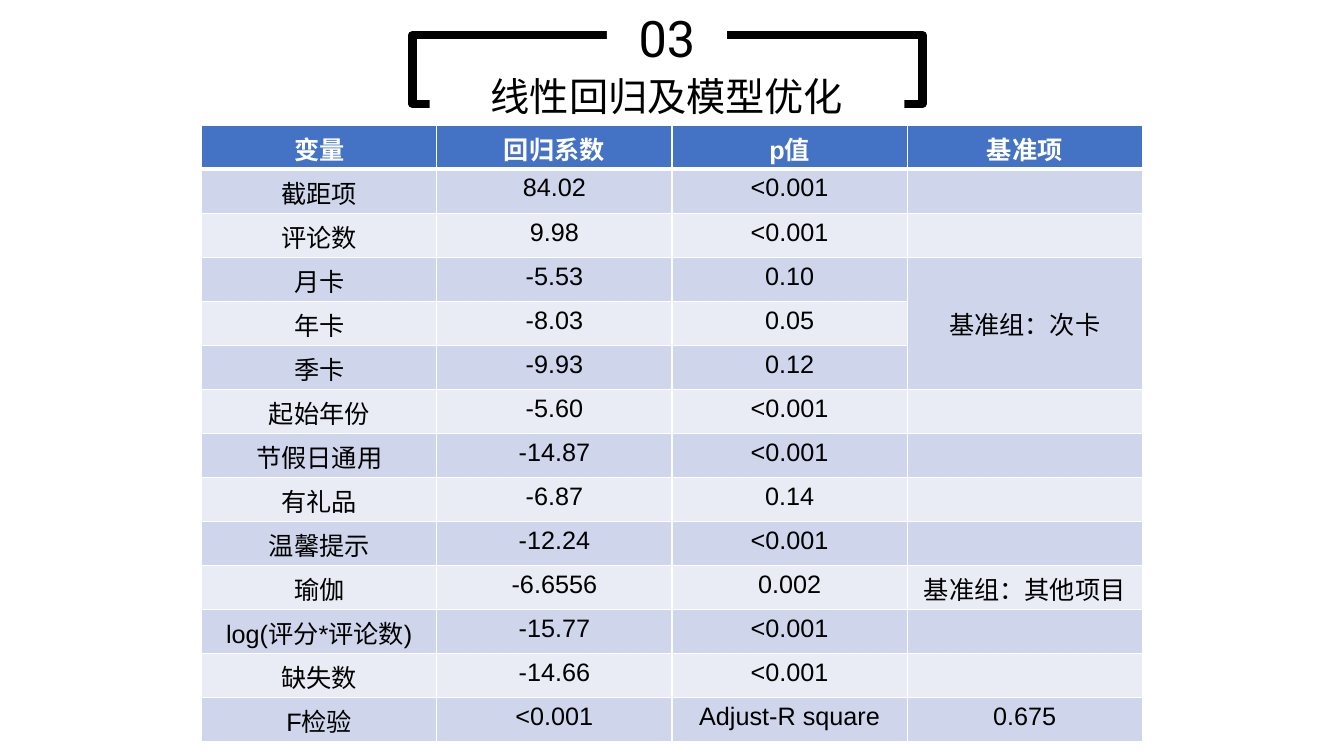
from lxml import etree
from pptx import Presentation
from pptx.dml.color import RGBColor
from pptx.enum import shapes, text
from pptx.oxml import ns
from pptx.util import Inches, Pt

COLORS = {"black": "000000", "white": "FFFFFF", "header": "4472C4",
          "odd": "CFD5EA", "even": "E9EBF5"}
RGB = {name: RGBColor.from_string(value) for name, value in COLORS.items()}

ROWS = [
    ("变量", "回归系数", "p值", "基准项"),
    ("截距项", "84.02", "<0.001", ""),
    ("评论数", "9.98", "<0.001", ""),
    ("月卡", "-5.53", "0.10", "基准组：次卡"),
    ("年卡", "-8.03", "0.05", ""),
    ("季卡", "-9.93", "0.12", ""),
    ("起始年份", "-5.60", "<0.001", ""),
    ("节假日通用", "-14.87", "<0.001", ""),
    ("有礼品", "-6.87", "0.14", ""),
    ("温馨提示", "-12.24", "<0.001", ""),
    ("瑜伽", "-6.6556", "0.002", "基准组：其他项目"),
    ("log(评分*评论数)", "-15.77", "<0.001", ""),
    ("缺失数", "-14.66", "<0.001", ""),
    ("F检验", "<0.001", "Adjust-R square", "0.675"),
]


def write(tf, content, color, **font):
    """Put one centred paragraph in a text frame and format its font."""
    p = tf.paragraphs[0]
    p.alignment = text.PP_ALIGN.CENTER
    r = p.add_run()
    r.text = content
    r.font.color.rgb = RGB[color]
    for name, value in font.items():
        setattr(r.font, name, value)


def add_border(cell, side, points):
    ln = etree.SubElement(cell._tc.get_or_add_tcPr(), ns.qn(f"a:ln{side}"), w=str(Pt(points)))
    fill = etree.SubElement(ln, ns.qn("a:solidFill"))
    etree.SubElement(fill, ns.qn("a:srgbClr"), val=COLORS["white"])


prs = Presentation()
prs.slide_width, prs.slide_height = Inches(13.33), Inches(7.5)
s = prs.slides.add_slide(prs.slide_layouts[5])

# Bracket frame: the white heading boxes cover parts of its outline
frame = s.shapes.add_shape(shapes.MSO_SHAPE.RECTANGLE,
                           Inches(4.09), Inches(0.35), Inches(5.06), Inches(0.68))
frame.shadow.inherit = False
frame.fill.background()
frame.line.color.rgb = RGB["black"]
frame.line.width = Pt(6)

number = s.shapes.add_textbox(Inches(6.02), Inches(0.02), Inches(1.19), Inches(0.71))
title = s.shapes.title
title.left, title.top, title.width, title.height = map(Inches, (4.26, 0.67, 4.71, 0.57))
s.shapes._spTree.append(title._element)  # bring the title in front of the frame

for sp, content, size, font in ((number, "03", 36, "Roboto"),
                                (title, "线性回归及模型优化", 28, "Arial")):
    sp.fill.solid()
    sp.fill.fore_color.rgb = RGB["white"]
    tf = sp.text_frame
    tf.word_wrap = True
    tf.auto_size = text.MSO_AUTO_SIZE.SHAPE_TO_FIT_TEXT
    tf.vertical_anchor = text.MSO_ANCHOR.TOP
    write(tf, content, "black", size=Pt(size), name=font)

# Regression results
table = s.shapes.add_table(len(ROWS), len(ROWS[0]), Inches(2), Inches(1.24),
                           Inches(9.33), Inches(6.12)).table
table.first_row = table.horz_banding = False

for i, row in enumerate(ROWS):
    band = "header" if i == 0 else "odd" if i % 2 else "even"
    for j, content in enumerate(row):
        cell = table.cell(i, j)
        for side in "LRTB":
            heavy = (i == 0 and side == "B") or (i == 1 and side == "T")
            add_border(cell, side, 3 if heavy else 1)
        cell.fill.solid()
        cell.fill.fore_color.rgb = RGB[band]
        if content:
            write(cell.text_frame, content, "black" if i else "white",
                  size=Pt(18), name="Arial", bold=i == 0)

card_baseline = table.cell(3, 3)
card_baseline.merge(table.cell(5, 3))
card_baseline.vertical_anchor = text.MSO_ANCHOR.MIDDLE

prs.save("out.pptx")
